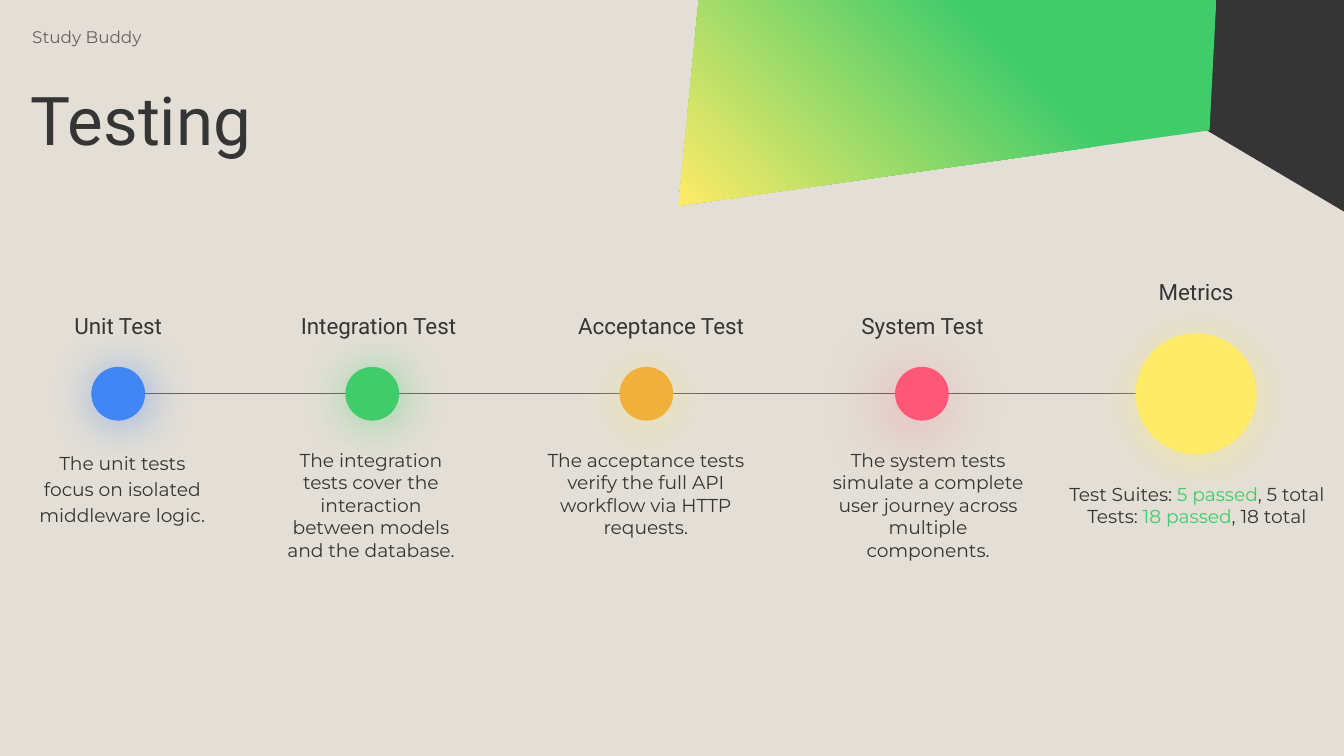
"""Build the testing timeline slide."""
from lxml.etree import SubElement
from pptx import Presentation
from pptx.dml.color import RGBColor
from pptx.enum.shapes import MSO_CONNECTOR, MSO_SHAPE
from pptx.enum.text import MSO_ANCHOR, MSO_AUTO_SIZE, PP_ALIGN
from pptx.oxml.ns import qn
from pptx.util import Inches, Pt

SAND = RGBColor(0xE3, 0xDF, 0xD6)
DARK = RGBColor(0x35, 0x35, 0x35)
GRAY = RGBColor(0x69, 0x61, 0x5E)
GREEN = RGBColor(0x41, 0xCC, 0x6B)
YELLOW = RGBColor(0xFF, 0xEB, 0x67)
AMBER = RGBColor(0xF0, 0xB0, 0x3B)
BLUE = RGBColor(0x42, 0x85, 0xF4)
PINK = RGBColor(0xFF, 0x57, 0x77)

LINE_Y = 2.93
HEAD_H = 0.4
LEFT, MID = PP_ALIGN.LEFT, PP_ALIGN.CENTER

WEDGE = [(8.98, 0.97), (10.01, 1.58), (10.01, -0.01), (9.05, -0.01)]
PANEL = [(5.2, -0.01), (5.05, 1.53), (9, 0.97), (9.05, 0)]

SOFT = (56, 25.9, 2.2, 45)
WARM = (50, 27, 3, 90)
ROSY = (50, 38.2, 6, 130)

STEPS = [
    dict(head="Unit Test", span=(0.26, 1.24), mid=0.88, size=0.4,
         fill=BLUE, glow=(BLUE, *SOFT), body=(0.16, 1.5, 1.16), space=1.15,
         text=[[("The unit tests focus on isolated middleware logic.", DARK)]]),
    dict(head="Integration Test", span=(2.14, 1.5), mid=2.77, size=0.4, align=LEFT,
         fill=GREEN, glow=(GREEN, *SOFT), body=(2.01, 1.5, 1.16),
         text=[[("The integration tests cover the interaction between models "
                 "and the database.", DARK)]]),
    dict(head="Acceptance Test", span=(4.02, 1.8), mid=4.81, size=0.4,
         fill=AMBER, glow=(YELLOW, *WARM), body=(3.94, 1.73, 1.16),
         text=[[("The acceptance tests verify the full API workflow via HTTP "
                 "requests.", DARK)]]),
    dict(head="System Test", span=(6.21, 1.31), mid=6.86, size=0.4,
         fill=PINK, glow=(PINK, *ROSY), body=(6.09, 1.63, 1.16),
         text=[[("The system tests simulate a complete user journey across "
                 "multiple components.", DARK)]]),
    dict(head="Metrics", span=(8.45, 0.9), mid=8.9, size=0.9,
         fill=YELLOW, glow=(YELLOW, *WARM), body=(7.81, 2.19, 1.57),
         text=[[("Test Suites: ", DARK), ("5 passed", GREEN), (", 5 total", DARK)],
               [("Tests: ", DARK), ("18 passed", GREEN), (", 18 total", DARK)]]),
]


def write(shape, box, paras, font, size, align=LEFT, space=1.0, inset=0.1):
    """Place a text shape and fill it run by run."""
    shape.left, shape.top, shape.width, shape.height = map(Inches, box)
    frame = shape.text_frame
    frame.word_wrap = True
    frame.auto_size = MSO_AUTO_SIZE.NONE
    frame.vertical_anchor = MSO_ANCHOR.TOP
    frame.margin_left = Inches(inset)
    frame.margin_right = frame.margin_top = frame.margin_bottom = Inches(0.1)
    for i, runs in enumerate(paras):
        para = frame.add_paragraph() if i else frame.paragraphs[0]
        para.alignment = align
        para.line_spacing = space
        para.space_before = para.space_after = Pt(0)
        for text, color in runs:
            run = para.add_run()
            run.text = text
            run.font.name = font
            run.font.size = Pt(size)
            run.font.color.rgb = color


def label(slide, box, *args, **style):
    """Add a text box."""
    write(slide.shapes.add_textbox(0, 0, 0, 0), box, *args, **style)


def outline(slide, points):
    """Add a closed outline without a line."""
    spots = [(Inches(x), Inches(y)) for x, y in points]
    pen = slide.shapes.build_freeform(*spots[0])
    pen.add_line_segments(spots[1:], close=True)
    shape = pen.convert_to_shape()
    shape.shadow.inherit = False
    shape.line.fill.background()
    return shape


def shine(shape, color, alpha, blur, dist, angle):
    """Give a shape a coloured soft shadow."""
    shape.shadow.inherit = False
    effects = shape._element.spPr.find(qn("a:effectLst"))
    cast = SubElement(effects, qn("a:outerShdw"), blurRad=str(Pt(blur)),
                      dist=str(Pt(dist)), dir=str(angle * 60000),
                      algn="bl", rotWithShape="0")
    tint = SubElement(cast, qn("a:srgbClr"), val=str(color))
    SubElement(tint, qn("a:alpha"), val=str(alpha * 1000))


def dot(slide, step):
    """Add a glowing timeline circle."""
    size = step["size"]
    shape = slide.shapes.add_shape(
        MSO_SHAPE.OVAL, Inches(step["mid"] - size / 2), Inches(LINE_Y - size / 2),
        Inches(size), Inches(size))
    shape.fill.solid()
    shape.fill.fore_color.rgb = step["fill"]
    shape.line.fill.background()
    shine(shape, *step["glow"])


def main():
    """Build and save the slide."""
    deck = Presentation()
    deck.slide_width = Inches(10)
    deck.slide_height = Inches(10 * 9 / 16)
    slide = deck.slides.add_slide(deck.slide_layouts[5])
    slide.background.fill.solid()
    slide.background.fill.fore_color.rgb = SAND

    wedge = outline(slide, WEDGE)
    wedge.fill.solid()
    wedge.fill.fore_color.rgb = DARK
    panel = outline(slide, PANEL)
    panel.fill.gradient()
    panel.fill.gradient_angle = 225
    for stop, color, place in zip(panel.fill.gradient_stops, (GREEN, YELLOW), (0.35, 1)):
        stop.color.rgb = color
        stop.position = place

    axis = slide.shapes.add_connector(
        MSO_CONNECTOR.STRAIGHT, Inches(0.75), Inches(LINE_Y), Inches(9.15), Inches(LINE_Y))
    axis.line.color.rgb = GRAY
    axis.line.width = Pt(0.75)
    SubElement(axis._element.spPr, qn("a:effectLst"))

    write(slide.shapes.title, (0.13, 0.55, 6.37, 0.75), [[("Testing", DARK)]],
          "Roboto", 36, space=0.9)
    label(slide, (0.04, 0.1, 1.73, 0.21), [[("Study Buddy", GRAY)]],
          "Montserrat", 9, inset=0.2)

    for step in STEPS:
        dot(slide, step)
        half = step["size"] / 2
        left, width = step["span"]
        label(slide, (left, LINE_Y - half - 0.11 - HEAD_H, width, HEAD_H),
              [[(step["head"], DARK)]], "Roboto", 12, align=step.get("align", MID))
        left, width, height = step["body"]
        label(slide, (left, LINE_Y + half + 0.11, width, height), step["text"],
              "Montserrat", 10, align=MID, space=step.get("space", 1.0))

    deck.save("out.pptx")


if __name__ == "__main__":
    main()
